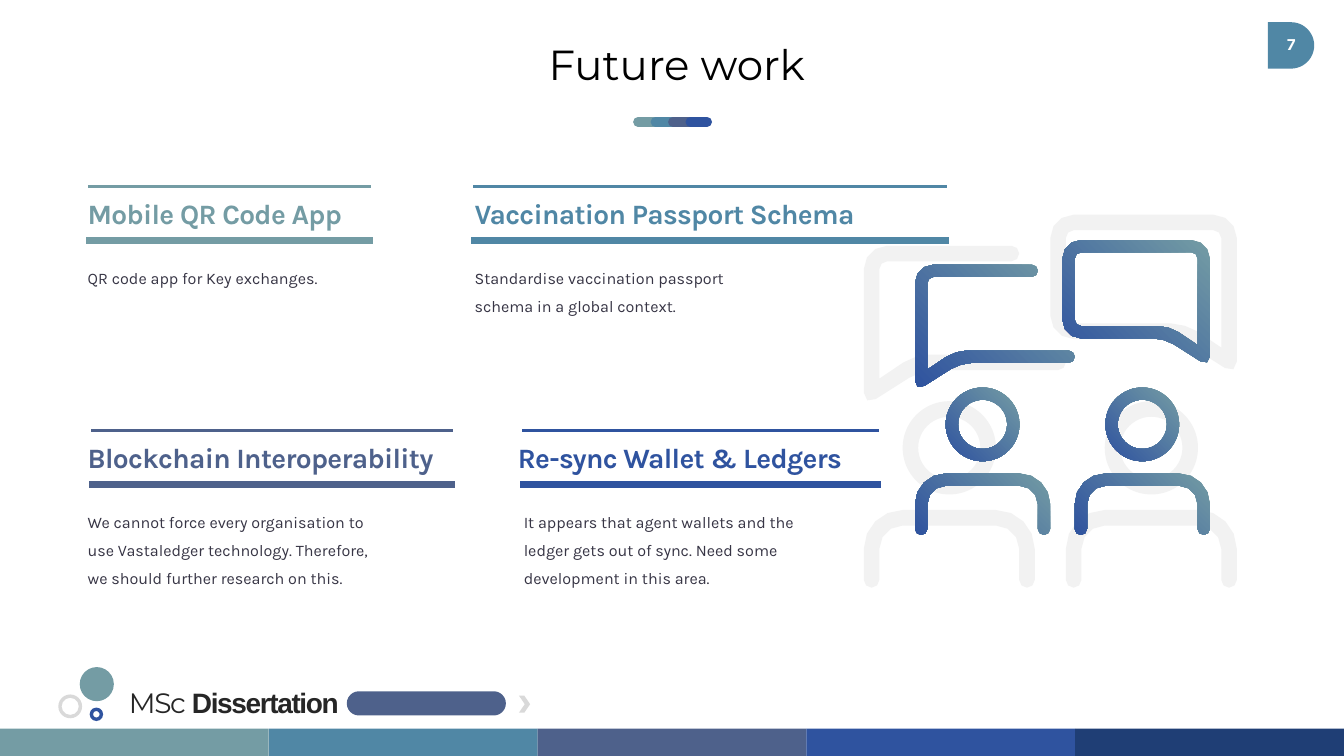
from dataclasses import dataclass

from pptx import Presentation
from pptx.dml.color import RGBColor
from pptx.enum import dml, shapes, text
from pptx.oxml import parse_xml
from pptx.oxml.ns import nsdecls
from pptx.util import Cm, Pt

HUES = {"teal": "749CA4", "blue": "5087A5", "slate": "4E618B", "royal": "2F539F",
        "navy": "1F3E75", "pale": "F2F2F2", "grey": "D9D9D9", "ink": "373545",
        "dark": "262626", "black": "000000", "white": "FFFFFF"}
WIDE, HIGH = 33.87, 19.05
KIND = shapes.MSO_SHAPE
GRID, FINE = 24, 1000  # icon grid cells, and steps per cell

Point = tuple[float, float]
Node = tuple[float, float, float]  # x, y, corner trim


@dataclass
class Part:
    """A plain preset shape, in centimetres."""
    kind: int
    hues: list[str]
    x: float
    y: float
    w: float
    h: float
    bend: float | None = None


@dataclass
class Topic:
    head: str
    body: str
    hue: str
    top: float
    left: float
    width: float
    start: float
    end: float
    inset: float = 0


@dataclass
class Style:
    size: float
    hue: str
    font: str = "Karla"
    bold: bool = False
    track: int = 0


PARTS = [
    Part(KIND.ROUNDED_RECTANGLE, ["slate"], 8.74, 17.42, 4.01, 0.61, 0.5),
    Part(KIND.FLOWCHART_DELAY, ["blue"], 31.95, 0.56, 1.17, 1.17),
    Part(KIND.OVAL, ["teal"], 2.01, 16.81, 0.86, 0.86),
    Part(KIND.DONUT, ["grey"], 1.47, 17.5, 0.6, 0.6, 0.14),
    Part(KIND.DONUT, ["royal"], 2.26, 17.83, 0.34, 0.34, 0.26),
    Part(KIND.CHEVRON, ["grey"], 13.08, 17.53, 0.28, 0.43, 0.52),
]
TOPICS = [
    Topic("Mobile QR Code App", "QR code app for Key exchanges.",
          "teal", 4.7, 1.96, 7.37, 2.26, 9.32),
    Topic("Vaccination Passport Schema",
          "Standardise vaccination passport schema in a global context.",
          "blue", 4.7, 11.71, 12.34, 11.96, 23.83),
    Topic("Blockchain Interoperability",
          "We cannot force every organisation to use Vastaledger technology. "
          "Therefore, we should further research on this.",
          "slate", 10.85, 1.96, 9.42, 2.34, 11.38),
    Topic("Re-sync Wallet & Ledgers",
          "It appears that agent wallets and the ledger gets out of sync. "
          "Need some development in this area.",
          "royal", 10.85, 12.8, 9.32, 13.18, 22.12, 0.15),
]


def torso(x: float) -> list[Node]:
    return [(x, 24, 0.5), (x, 19, 2.5), (x + 11, 19, 2.5), (x + 11, 24, 0.5),
            (x + 10, 24, 0.5), (x + 10, 20, 1.5), (x + 1, 20, 1.5), (x + 1, 24, 0.5)]


RIGHT = [[(12, 0, 1.5), (24, 0, 1.5), (24, 10.35, 0.9), (20.3, 8, 0.9), (12, 8, 1.5)],
         [(13, 1, 0.5), (23, 1, 0.5), (23, 8.55, 0), (20.7, 7, 0.9), (13, 7, 0.5)]]
LEFT = [[(0, 2, 1.5), (10, 2, 0.5), (10, 3, 0.5), (1, 3, 0.5), (1, 10.55, 0),
         (3.3, 9, 0.9), (13, 9, 0.5), (13, 10, 0.5), (3.7, 10, 0.9), (0, 12.35, 0.9)]]
ICON = [RIGHT, LEFT, [torso(0)], [torso(13)]]
HEADS = (2.5, 15.5)  # left edges, in grid cells


def tint(name: str) -> RGBColor:
    return RGBColor.from_string(HUES[name])


def toward(a: Node, b: Node, dist: float) -> Point:
    """The point at a distance from a on the way to b."""
    dx, dy = b[0] - a[0], b[1] - a[1]
    share = dist / (dx * dx + dy * dy) ** 0.5
    return a[0] + dx * share, a[1] + dy * share


def smooth(nodes: list[Node]) -> list[Point]:
    """Points of the outline with each corner rounded by a cubic curve."""
    points = []
    for i, node in enumerate(nodes):
        last, after, trim = nodes[i - 1], nodes[(i + 1) % len(nodes)], node[2]
        if not trim:
            points.append(node[:2])
            continue
        curve = [toward(node, last, trim), toward(node, last, trim * 0.45),
                 toward(node, after, trim * 0.45), toward(node, after, trim)]
        steps = 2 + int(trim)
        for k in range(steps + 1):
            t = k / steps
            mix = ((1 - t) ** 3, 3 * t * (1 - t) ** 2, 3 * t * t * (1 - t), t ** 3)
            points.append(tuple(sum(m * p[axis] for m, p in zip(mix, curve))
                                for axis in (0, 1)))
    return [(x * FINE, y * FINE) for x, y in points]


def paint(shape, hues: list[str]) -> None:
    """Fill with one hue, or with a gradient from the top right."""
    shape.shadow.inherit = False
    shape.line.fill.background()
    if len(hues) == 1:
        shape.fill.solid()
        shape.fill.fore_color.rgb = tint(hues[0])
    else:
        shape.fill.gradient()
        shape.fill.gradient_angle = 225
        for stop, hue in zip(shape.fill.gradient_stops, hues):
            stop.color.rgb = tint(hue)


def draw_part(slide, part: Part) -> None:
    shape = slide.shapes.add_shape(part.kind, Cm(part.x), Cm(part.y), Cm(part.w), Cm(part.h))
    if part.bend is not None:
        shape.adjustments[0] = part.bend
    paint(shape, part.hues)


def draw_icon(slide, x: float, y: float, size: float, hues: list[str]) -> None:
    for loops in ICON:
        first, *holes = [smooth(loop) for loop in loops]
        pen = slide.shapes.build_freeform(*first[0], scale=Cm(size) / (GRID * FINE))
        pen.add_line_segments(first[1:])
        for hole in holes:
            pen.move_to(*hole[0])
            pen.add_line_segments(hole[1:])
        paint(pen.convert_to_shape(Cm(x), Cm(y)), hues)
    cell = size / GRID
    for left in HEADS:
        draw_part(slide, Part(KIND.DONUT, hues, x + left * cell, y + 12 * cell,
                              6 * cell, 6 * cell, 1 / 6))


def draw_line(slide, x: float, end: float, y: float, hue: str, width: float, cap: str):
    line = slide.shapes.add_connector(shapes.MSO_CONNECTOR.STRAIGHT,
                                      Cm(x), Cm(y), Cm(end), Cm(y))
    line.line.color.rgb = tint(hue)
    line.line.width = Pt(width)
    line.line._get_or_add_ln().set("cap", cap)
    line._element.spPr.append(parse_xml(f"<a:effectLst {nsdecls('a')}/>"))
    return line


def write(slide, x: float, y: float, w: float, h: float, runs: list[tuple[str, Style]],
          space=None, align=text.PP_ALIGN.LEFT, anchor=text.MSO_ANCHOR.TOP) -> None:
    frame = slide.shapes.add_textbox(Cm(x), Cm(y), Cm(w), Cm(h)).text_frame
    frame.word_wrap = True
    frame.vertical_anchor = anchor
    para = frame.paragraphs[0]
    para.alignment = align
    para.line_spacing = space
    for words, style in runs:
        run = para.add_run()
        run.text = words
        run.font.size, run.font.name = Pt(style.size), style.font
        run.font.bold = style.bold
        run.font.color.rgb = tint(style.hue)
        if style.track:
            run.font._element.set("spc", str(style.track))


def draw_topic(slide, topic: Topic) -> None:
    write(slide, topic.left, topic.top + 0.26, topic.width, 0.89,
          [(topic.head, Style(20, topic.hue, bold=True, track=-50))], Pt(20))
    for drop, width in ((1.37, 5), (0, 2)):
        draw_line(slide, topic.start, topic.end, topic.top + drop, topic.hue, width, "sq")
    write(slide, topic.left + topic.inset, topic.top + 1.73, 7.59, 3.35,
          [(topic.body, Style(11.5, "ink"))], Pt(20))


def main() -> None:
    deck = Presentation()
    deck.slide_width, deck.slide_height = Cm(WIDE), Cm(HIGH)
    slide = deck.slides.add_slide(deck.slide_layouts[6])
    for part in PARTS:
        draw_part(slide, part)
    write(slide, 3, 17.15, 5.99, 1.12,
          [("MSc ", Style(20, "dark", "Montserrat", track=-100)),
           ("Dissertation", Style(20, "dark", "Arial", True, -100))])
    draw_icon(slide, 21.77, 5.41, 9.4, ["pale"])
    band = WIDE / 5
    for i, hue in enumerate(("teal", "blue", "slate", "royal", "navy")):
        draw_part(slide, Part(KIND.RECTANGLE, [hue], i * band, 18.36, band, 0.69))
    write(slide, 31.98, 0.71, 1.12, 0.81, [("7", Style(12, "white", bold=True))],
          align=text.PP_ALIGN.CENTER, anchor=text.MSO_ANCHOR.MIDDLE)
    write(slide, 2.34, 0.99, 29.44, 1.14,
          [("Future work", Style(30, "black", "Montserrat"))], 0.9, text.PP_ALIGN.CENTER)
    for i, hue in enumerate(("teal", "blue", "slate", "royal")):
        x = 16.08 + i * 0.44
        dash = draw_line(slide, x, x + 0.42, 3.07, hue, 7, "rnd")
        dash.line.dash_style = dml.MSO_LINE.DASH
    draw_icon(slide, 23.06, 6.05, 7.43, ["teal", "royal"])
    for topic in TOPICS:
        draw_topic(slide, topic)
    deck.save("out.pptx")


if __name__ == "__main__":
    main()
